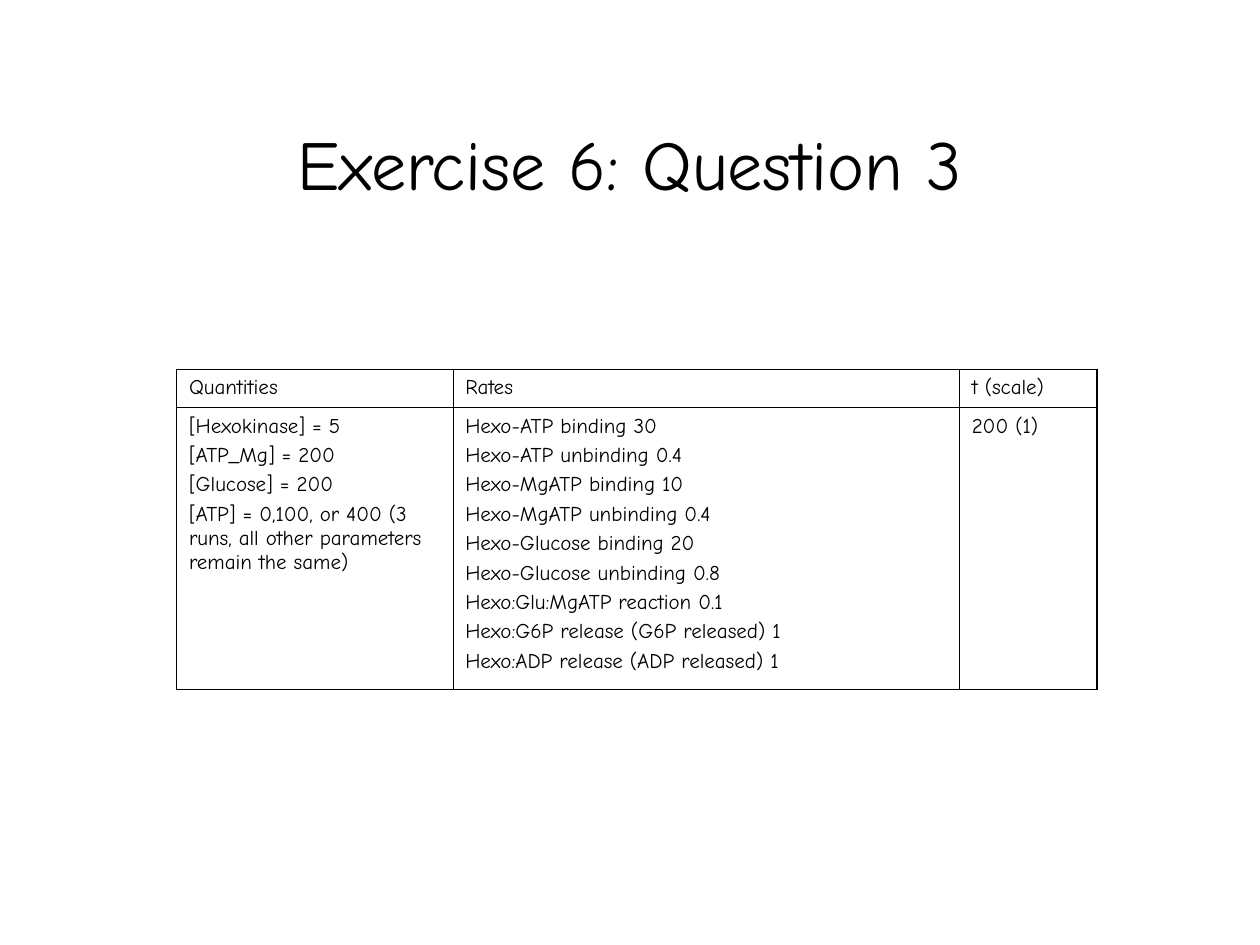
from dataclasses import dataclass

from lxml.etree import SubElement
from pptx import Presentation
from pptx.dml.color import RGBColor
from pptx.enum.text import MSO_ANCHOR, PP_ALIGN
from pptx.oxml.ns import qn
from pptx.util import Cm, Pt

BLACK = RGBColor(0, 0, 0)
WHITE = RGBColor(255, 255, 255)
FONT = "Comic Neue"
OUTER, INNER = Pt(1.08), Pt(0.45)
ROW_HEIGHTS = (Cm(0.76), Cm(5.67))


@dataclass(frozen=True)
class Column:
    width: Cm
    heading: str
    entries: tuple[str, ...]


COLUMNS = (
    Column(Cm(5.57), "Quantities", (
        "[Hexokinase] = 5",
        "[ATP_Mg] = 200",
        "[Glucose] = 200",
        "[ATP] = 0,100, or 400 (3 runs, all other parameters remain the same)",
    )),
    Column(Cm(10.21), "Rates", (
        "Hexo-ATP binding 30",
        "Hexo-ATP unbinding 0.4",
        "Hexo-MgATP binding 10",
        "Hexo-MgATP unbinding 0.4",
        "Hexo-Glucose binding 20",
        "Hexo-Glucose unbinding 0.8",
        "Hexo:Glu:MgATP reaction 0.1",
        "Hexo:G6P release (G6P released) 1",
        "Hexo:ADP release (ADP released) 1",
    )),
    Column(Cm(2.78), "t (scale)", ("200 (1)",)),
)


def add_span(para, text: str, size: float) -> None:
    span = para.add_run()
    span.text = text
    span.font.name = FONT
    span.font.size = Pt(size)
    span.font.color.rgb = BLACK


def set_borders(cell, widths: dict[str, int]) -> None:
    """Add solid borders, which must precede the fill in the cell properties."""
    properties = cell._tc.get_or_add_tcPr()
    for index, (side, width) in enumerate(widths.items()):
        line = SubElement(properties, qn(f"a:ln{side}"), w=str(int(width)))
        solid = SubElement(line, qn("a:solidFill"))
        SubElement(solid, qn("a:srgbClr"), val=str(BLACK))
        properties.insert(index, line)


def fill_cell(cell, lines: tuple[str, ...]) -> None:
    cell.fill.solid()
    cell.fill.fore_color.rgb = WHITE
    cell.margin_left = cell.margin_right = Cm(0.25)
    cell.margin_top = cell.margin_bottom = Cm(0.13)
    frame = cell.text_frame
    for index, line in enumerate(lines):
        para = frame.add_paragraph() if index else frame.paragraphs[0]
        para.space_before = Pt(3)
        add_span(para, line, 12)


deck = Presentation()
deck.slide_width, deck.slide_height = Cm(25.4), Cm(19.05)
page = deck.slides.add_slide(deck.slide_layouts[6])

# Title
box = page.shapes.add_textbox(Cm(1.9), Cm(1.69), Cm(21.6), Cm(3.18))
box.text_frame.word_wrap = True
box.text_frame.vertical_anchor = MSO_ANCHOR.MIDDLE
title = box.text_frame.paragraphs[0]
title.alignment = PP_ALIGN.CENTER
add_span(title, "Exercise 6: Question 3", 40)

# Parameter table
holder = page.shapes.add_table(
    len(ROW_HEIGHTS), len(COLUMNS), Cm(3.56), Cm(7.45),
    sum(column.width for column in COLUMNS), sum(ROW_HEIGHTS))
table = holder.table
table.first_row = table.horz_banding = False
for row, height in zip(table.rows, ROW_HEIGHTS):
    row.height = height

last_row, last_column = len(ROW_HEIGHTS) - 1, len(COLUMNS) - 1
for c, column in enumerate(COLUMNS):
    table.columns[c].width = column.width
    for r, lines in enumerate(((column.heading,), column.entries)):
        cell = table.cell(r, c)
        fill_cell(cell, lines)
        set_borders(cell, {
            "L": OUTER if c == 0 else INNER,
            "R": OUTER if c == last_column else INNER,
            "T": OUTER if r == 0 else INNER,
            "B": OUTER if r == last_row else INNER,
        })

deck.save("out.pptx")
